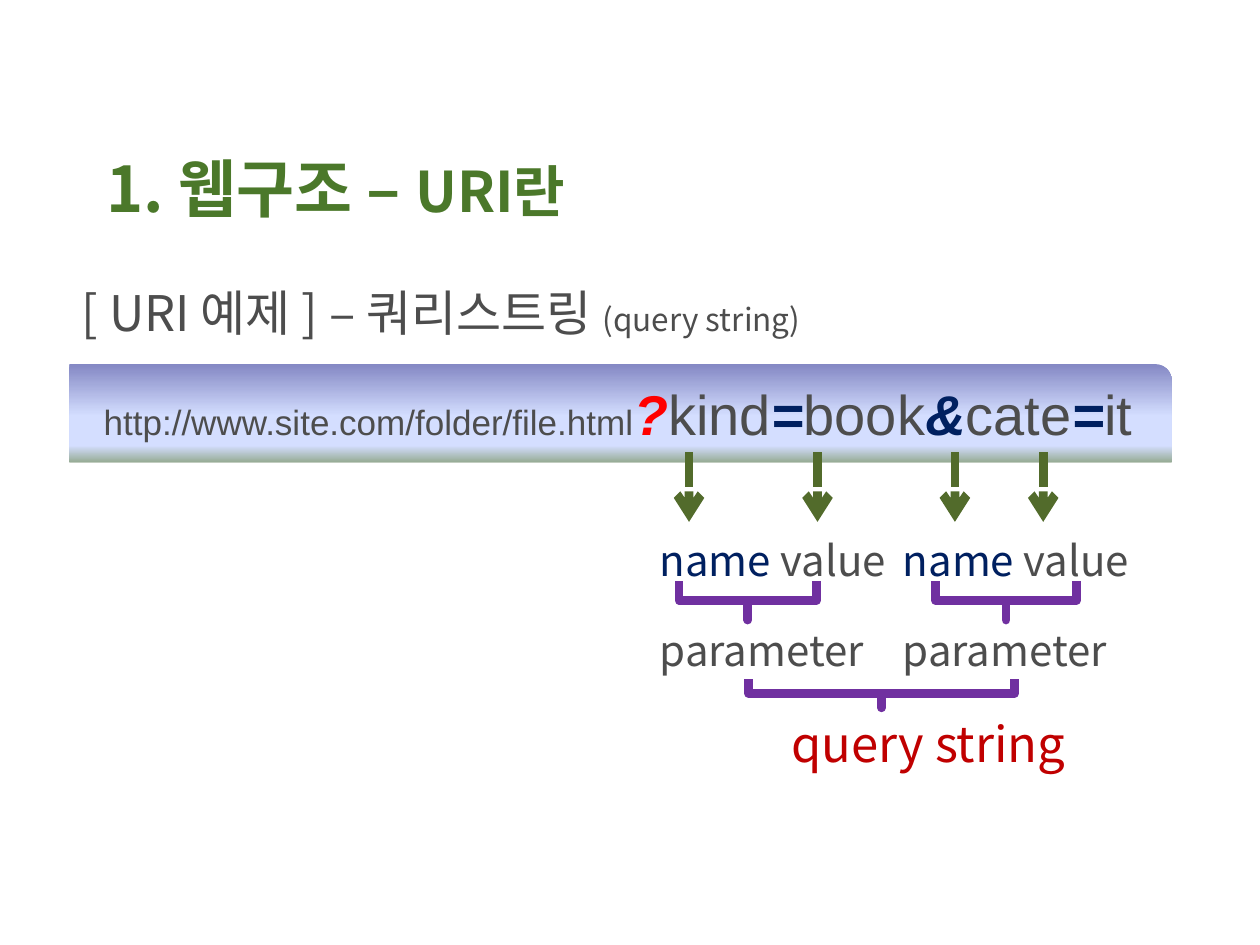
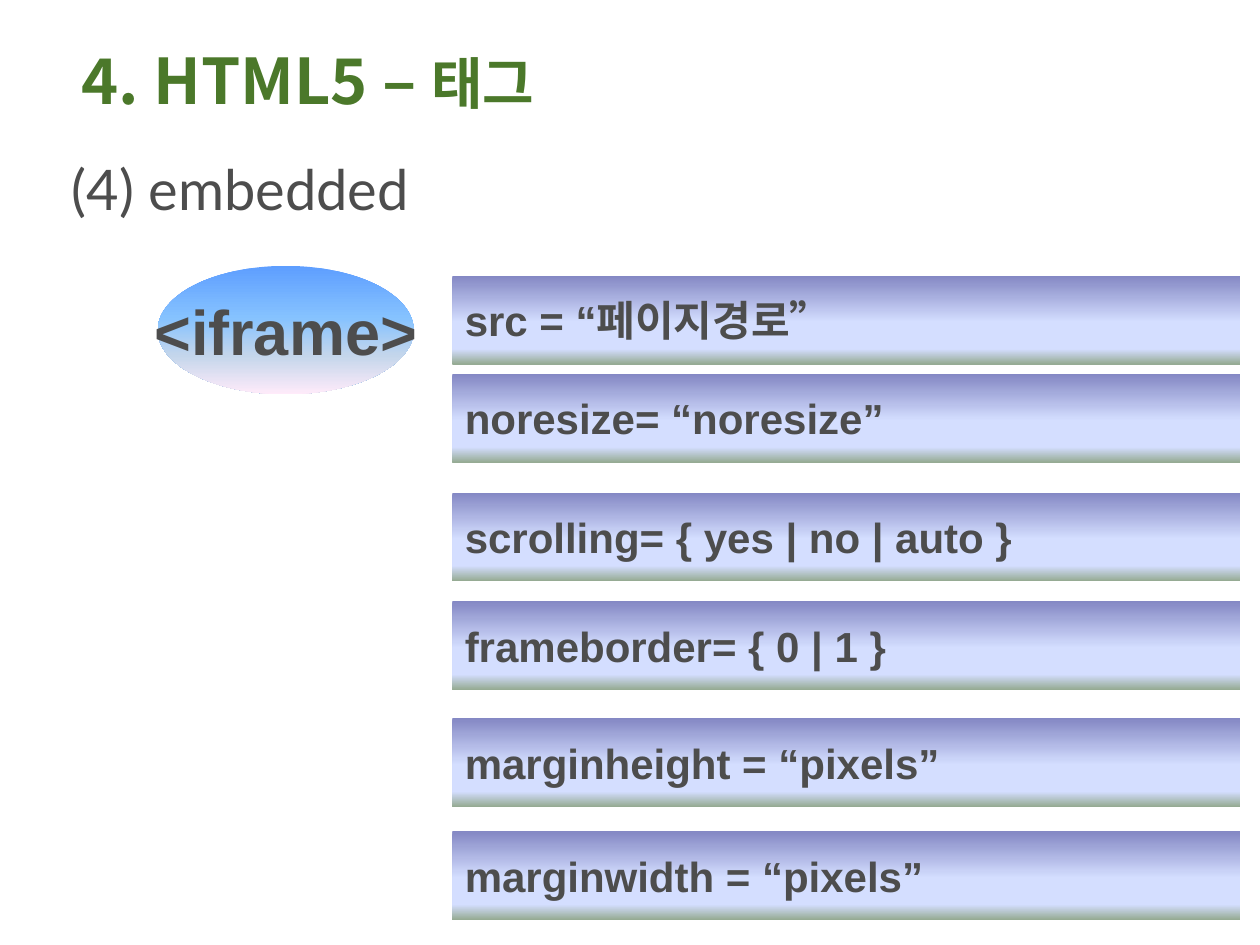
from lxml.etree import SubElement
from pptx import Presentation
from pptx.dml.color import RGBColor
from pptx.enum.dml import MSO_LINE
from pptx.enum.shapes import MSO_CONNECTOR, MSO_SHAPE as Shape
from pptx.enum.text import MSO_ANCHOR as Anchor, PP_ALIGN as Align
from pptx.oxml.ns import qn
from pptx.util import Cm, Pt

COLORS = {
    "title": "4B782A",
    "text": "4D4D4D",
    "navy": "002060",
    "red": "FF0000",
    "dark_red": "C00000",
    "arrow": "526B2B",
    "brace": "7030A0",
}
BAND = [(0, "8488C4"), (53, "D4DEFF"), (83, "D4DEFF"), (100, "96AB94")]
SKY = [(0, "5E9EFF"), (40, "85C2FF"), (70, "C4D6EB"), (100, "FFEBFA")]
KOREAN = "Noto Sans CJK KR"


def rgb(name):
    return RGBColor.from_string(COLORS[name])


def set_font(font, name=None, size=None, color=None, bold=None, italic=None):
    if size:
        font.size = Pt(size)
    if color:
        font.color.rgb = rgb(color)
    if bold is not None:
        font.bold = bold
    if italic is not None:
        font.italic = italic
    if name:
        font.name = name
        SubElement(font._element, qn("a:ea")).set("typeface", KOREAN)


class Painter:
    """Holds the deck style and the page being drawn."""

    def __init__(self, deck):
        self.deck = deck
        self.page = None

    def new_page(self):
        self.page = self.deck.slides.add_slide(self.deck.slide_layouts[6])

    def fill_text(self, frame, spans, align=Align.LEFT, wrap=True, **font):
        """Fill a frame with one paragraph; each span is (text, own font settings)."""
        frame.word_wrap = wrap
        frame.vertical_anchor = Anchor.MIDDLE
        para = frame.paragraphs[0]
        para.alignment = align
        set_font(para.font, **font)
        for text, own in spans:
            span = para.add_run()
            span.text = text
            set_font(span.font, **own)

    def title(self, left, top, spans):
        box = self.page.shapes.add_textbox(Cm(left), Cm(top), Cm(19.69), Cm(1.6))
        self.fill_text(box.text_frame, spans, name=KOREAN, size=36, color="title", bold=True)

    def label(self, left, middle, width, spans, size, name=KOREAN, color="text"):
        """One line of text, centred vertically on middle, without insets."""
        height = 1.6
        box = self.page.shapes.add_textbox(
            Cm(left), Cm(middle - height / 2), Cm(width), Cm(height))
        frame = box.text_frame
        frame.margin_left = frame.margin_right = 0
        frame.margin_top = frame.margin_bottom = 0
        self.fill_text(frame, spans, name=name, size=size, color=color)

    def panel(self, kind, left, top, width, height, stops, spans, **text):
        """Outline-free shape with a vertical gradient and Arial text."""
        shape = self.page.shapes.add_shape(kind, Cm(left), Cm(top), Cm(width), Cm(height))
        shape.shadow.inherit = False
        shape.line.fill.background()
        shape.fill.gradient()
        shape.fill.gradient_angle = 270
        stop_list = shape._element.spPr.find(qn("a:gradFill")).find(qn("a:gsLst"))
        for old_stop in list(stop_list):
            stop_list.remove(old_stop)
        for percent, color in stops:
            stop = SubElement(stop_list, qn("a:gs"), pos=str(percent * 1000))
            SubElement(stop, qn("a:srgbClr"), val=color)
        self.fill_text(shape.text_frame, spans, name="Arial", color="text", **text)

    def down_arrow(self, x, top, bottom):
        arrow = self.page.shapes.add_connector(
            MSO_CONNECTOR.STRAIGHT, Cm(x), Cm(top), Cm(x), Cm(bottom))
        arrow.line.color.rgb = rgb("arrow")
        arrow.line.width = Pt(5)
        arrow.line.dash_style = MSO_LINE.DASH
        properties = arrow._element.spPr
        SubElement(properties.find(qn("a:ln")), qn("a:tailEnd"), type="arrow")
        SubElement(properties, qn("a:effectLst"))

    def under_brace(self, left, top, width, height):
        """Square brace opening upward, given by the area it covers when turned."""
        shift = (width - height) / 2
        brace = self.page.shapes.add_shape(
            Shape.RIGHT_BRACE, Cm(left + shift), Cm(top - shift), Cm(height), Cm(width))
        brace.rotation = 90
        brace.adjustments[0] = 0
        brace.adjustments[1] = 0.5
        brace.shadow.inherit = False
        brace.fill.background()
        brace.line.color.rgb = rgb("brace")
        brace.line.width = Pt(5)


def draw_query_string(painter):
    painter.new_page()
    painter.title(1.9, 2.97, [("1. 웹구조 – ", {}), ("URI란", {"size": 32})])
    painter.label(1.65, 6.28, 21,
                  [("[ URI 예제 ] – 쿼리스트링 ", {}), ("(query string)", {"size": 18})], 28)

    large = {"size": 32}
    mark = {"size": 32, "color": "navy", "bold": True, "italic": True}
    address = [
        ("http://www.site.com/folder/file.html", {"size": 20}),
        ("?", {**mark, "color": "red"}),
        ("kind", large), ("=", mark), ("book", large),
        ("&", mark),
        ("cate", large), ("=", mark), ("it", large),
    ]
    painter.panel(Shape.ROUND_1_RECTANGLE, 1.4, 7.34, 22.22, 1.98, BAND, address,
                  align=Align.CENTER, wrap=False)

    for x in (13.89, 16.48, 19.25, 21.03):
        painter.down_arrow(x, 9.12, 10.52)

    for left in (13.3, 18.2):
        painter.label(left, 11.28, 5, [("name ", {"color": "navy"}), ("value", {})], 24)
        painter.label(left, 13.1, 5, [("parameter", {})], 24)
    painter.label(15.95, 14.97, 7, [("query string", {})], 28, color="dark_red")

    painter.under_brace(13.69, 11.71, 2.77, 0.79)
    painter.under_brace(18.86, 11.71, 2.84, 0.79)
    painter.under_brace(15.09, 13.69, 5.36, 0.58)


def draw_iframe(painter):
    painter.new_page()
    painter.title(1.4, 0.79, [("4. HTML5 – ", {}), ("태그", {"size": 32})])
    painter.label(1.45, 3.8, 20, [("(4) embedded", {})], 32, name="Lato")
    painter.panel(Shape.OVAL, 3.18, 5.36, 5.16, 2.59, SKY, [("<iframe>", {})],
                  align=Align.CENTER, wrap=False, size=36, bold=True)

    attributes = [
        (5.56, "src = “페이지경로”"),
        (7.54, "noresize= “noresize”"),
        (9.93, "scrolling= { yes | no | auto }"),
        (12.12, "frameborder= { 0 | 1 }"),
        (14.48, "marginheight = “pixels”"),
        (16.76, "marginwidth = “pixels”"),
    ]
    for top, text in attributes:
        painter.panel(Shape.RECTANGLE, 9.12, top, 15.88, 1.78, BAND, [(text, {})],
                      size=24, bold=True)


def main():
    deck = Presentation()
    deck.slide_width, deck.slide_height = Cm(25.4), Cm(19.05)
    painter = Painter(deck)
    draw_query_string(painter)
    draw_iframe(painter)
    deck.save("out.pptx")


if __name__ == "__main__":
    main()
